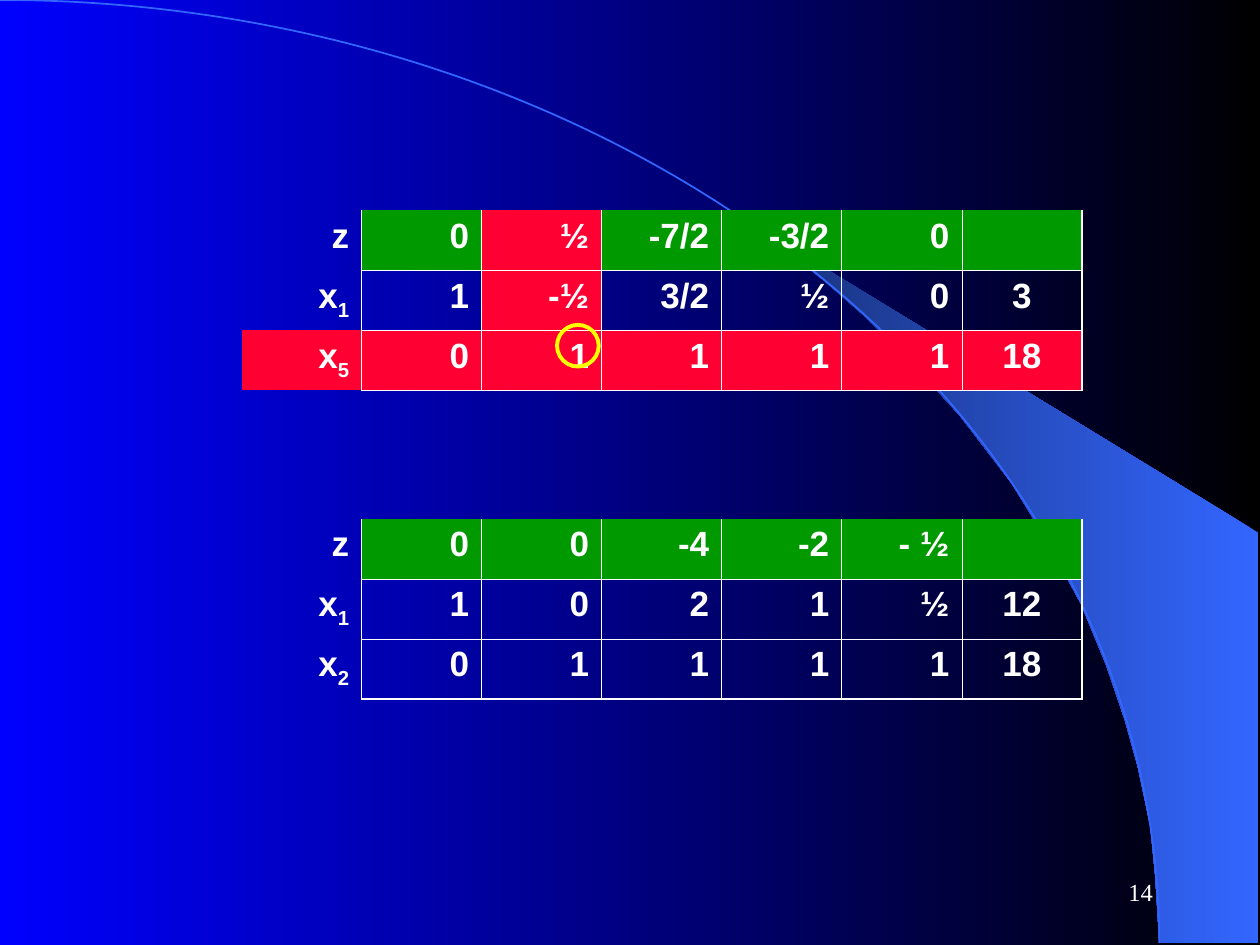
from lxml import etree
from pptx import Presentation
from pptx.dml.color import RGBColor
from pptx.enum.shapes import MSO_SHAPE
from pptx.enum.text import MSO_ANCHOR, PP_ALIGN
from pptx.oxml.ns import qn
from pptx.util import Cm, Pt

ARC, ELLIPSE = MSO_SHAPE.ARC, MSO_SHAPE.OVAL
RIGHT, CENTER = PP_ALIGN.RIGHT, PP_ALIGN.CENTER
MIDDLE = MSO_ANCHOR.MIDDLE

BLACK = RGBColor(0x00, 0x00, 0x00)
BLUE = RGBColor(0x00, 0x00, 0xFF)
SKY = RGBColor(0x33, 0x66, 0xFF)
NAVY = RGBColor(0x17, 0x2F, 0x75)
WHITE = RGBColor(0xFF, 0xFF, 0xFF)
GREEN = RGBColor(0x00, 0x99, 0x00)
RED = RGBColor(0xFF, 0x00, 0x33)
YELLOW = RGBColor(0xFF, 0xFF, 0x00)

NO_STYLE = "{2D5ABB26-0587-4C30-8999-92F81FD0307C}"
THIN, THICK = 0.45, 1.08

# Outline of the light beam, in hundredths of a centimetre
BEAM = [(2337, 1900), (2537, 1902), (2537, 1074), (1496, 439), (1585, 505),
        (1659, 564), (1740, 635), (1819, 711), (1935, 838), (2040, 975),
        (2113, 1095), (2179, 1217), (2230, 1341), (2268, 1453), (2294, 1547),
        (2319, 1666), (2329, 1768)]

FIRST_TABLEAU = [["z", "0", "½", "-7/2", "-3/2", "0", ""],
                 ["x_1", "1", "-½", "3/2", "½", "0", "3"],
                 ["x_5", "0", "1", "1", "1", "1", "18"]]
SECOND_TABLEAU = [["z", "0", "0", "-4", "-2", "- ½", ""],
                  ["x_1", "1", "0", "2", "1", "½", "12"],
                  ["x_2", "0", "1", "1", "1", "1", "18"]]


def write(p, text, *, font="Arial", size=20, bold=False, color=WHITE,
          align=RIGHT, before=0):
    """Fill a paragraph; the part after an underscore becomes a subscript."""
    p.alignment = align
    p.space_before = Pt(before)
    for i, part in enumerate(text.split("_")):
        r = p.add_run()
        r.text = part
        r.font.name, r.font.size, r.font.bold = font, Pt(size), bold
        r.font.color.rgb = color
        if i:
            r.font._element.set("baseline", "-25000")


def fade(fill, right, left):
    """Set a gradient that runs from the right colour to the left colour."""
    fill.gradient()
    fill.gradient_angle = 180
    for stop, color, position in zip(fill.gradient_stops, (right, left), (0, 1)):
        stop.color.rgb = color
        stop.position = position


def set_border(cell, side, width):
    """Draw one white cell border; side is L, R, T or B."""
    ln = etree.SubElement(cell._tc.get_or_add_tcPr(), qn("a:ln" + side),
                          w=str(Pt(width)))
    if width:
        solid = etree.SubElement(ln, qn("a:solidFill"))
        etree.SubElement(solid, qn("a:srgbClr"), val=str(WHITE))
    else:
        etree.SubElement(ln, qn("a:noFill"))


class Deck:
    """The style and the current slide."""

    col_width, row_height = Cm(2.42), Cm(1.21)

    def __init__(self, prs):
        """Add a blank slide with the blue background."""
        self.s = prs.slides.add_slide(prs.slide_layouts[6])
        fade(self.s.background.fill, BLACK, BLUE)

    def beam(self, points):
        """Draw the shaded beam."""
        builder = self.s.shapes.build_freeform(*points[0], scale=Cm(1) / 100)
        builder.add_line_segments(points[1:], close=True)
        sp = builder.convert_to_shape()
        sp.shadow.inherit = False
        sp.line.fill.background()
        fade(sp.fill, SKY, NAVY)

    def outline(self, kind, left, top, width, height, color, weight):
        """Draw an unfilled preset shape."""
        sp = self.s.shapes.add_shape(kind, Cm(left), Cm(top), Cm(width), Cm(height))
        sp.shadow.inherit = False
        sp.fill.background()
        sp.line.color.rgb = color
        sp.line.width = Pt(weight)

    def tableau(self, left, top, rows, pivot=None):
        """Draw a simplex tableau; pivot is the (row, column) marked in red."""
        n_rows, n_cols = len(rows), len(rows[0])
        frame = self.s.shapes.add_table(
            n_rows, n_cols, Cm(left), Cm(top),
            self.col_width * n_cols, self.row_height * n_rows)
        table = frame.table
        table.first_row = table.horz_banding = False
        frame._element.find(".//" + qn("a:tableStyleId")).text = NO_STYLE
        for column in table.columns:
            column.width = self.col_width
        for i, row in enumerate(rows):
            table.rows[i].height = self.row_height
            for j, text in enumerate(row):
                cell = table.cell(i, j)
                last_row, last_col = i == n_rows - 1, j == n_cols - 1
                set_border(cell, "L", THIN if j else 0)
                set_border(cell, "R", THICK if last_col else THIN)
                set_border(cell, "T", THIN if i and j else 0)
                set_border(cell, "B", (THICK if last_row else THIN) if j else 0)
                self.shade(cell, i, j, pivot)
                if text:
                    write(cell.text_frame.paragraphs[0], text, bold=True,
                          align=CENTER if last_col else RIGHT, before=5)

    def shade(self, cell, i, j, pivot):
        """Colour the pivot row and column red and the z row green."""
        if pivot and (i == pivot[0] or j == pivot[1]):
            color = RED
        elif i == 0 and j:
            color = GREEN
        else:
            cell.fill.background()
            return
        cell.fill.solid()
        cell.fill.fore_color.rgb = color

    def text(self, left, top, width, height, text, **fmt):
        """Add a one-line text box."""
        tf = self.s.shapes.add_textbox(
            Cm(left), Cm(top), Cm(width), Cm(height)).text_frame
        tf.word_wrap = True
        tf.vertical_anchor = MIDDLE
        write(tf.paragraphs[0], text, **fmt)


def main():
    """Build the slide and save it."""
    prs = Presentation()
    prs.slide_width, prs.slide_height = Cm(25.4), Cm(19.05)
    deck = Deck(prs)
    deck.beam(BEAM)
    deck.outline(ARC, -23.37, 0, 46.74, 38.02, SKY, 1)
    deck.tableau(4.87, 4.24, FIRST_TABLEAU, pivot=(2, 2))
    deck.outline(ELLIPSE, 11.23, 6.55, 0.84, 0.84, YELLOW, 2.25)
    deck.tableau(4.87, 10.46, SECOND_TABLEAU)
    deck.text(18.21, 17.35, 5.28, 1.27, "14", font="Times New Roman", size=14)
    prs.save("out.pptx")


main()
